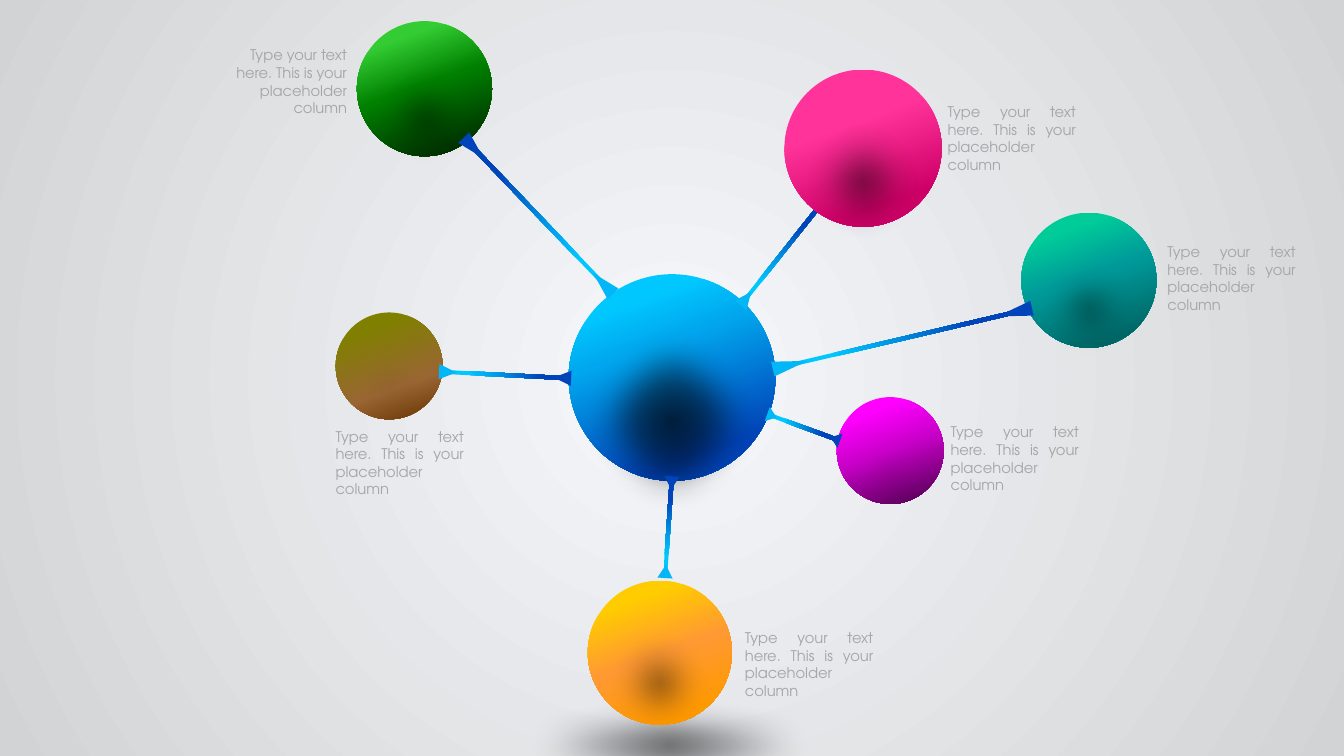
from math import cos, radians, sin

from lxml.etree import SubElement
from pptx import Presentation
from pptx.dml.color import RGBColor
from pptx.enum.shapes import MSO_SHAPE
from pptx.enum.text import MSO_ANCHOR, PP_ALIGN
from pptx.oxml.ns import qn
from pptx.util import Inches, Pt

WIDE, HIGH = Inches(13.33), Inches(7.5)
CELL = HIGH / 75
FONT = "TeX Gyre Adventor"
WORDS = "Type your text here. This is your placeholder column"

WHITE = RGBColor(0xFF, 0xFF, 0xFF)
BLACK = RGBColor(0x00, 0x00, 0x00)
GRAY = RGBColor(0xA6, 0xA6, 0xA6)
PALE = RGBColor(0xF6, 0xF8, 0xFC)
SILVER = RGBColor(0xD2, 0xD3, 0xD5)
SKY = RGBColor(0x01, 0xC7, 0xFF)
AZURE = RGBColor(0x01, 0xA7, 0xEE)
CYAN = RGBColor(0x03, 0xB6, 0xF5)
NAVY = RGBColor(0x01, 0x44, 0xB9)
PINK = RGBColor(0xFF, 0x33, 0x99)
ROSE = RGBColor(0xCC, 0x00, 0x66)
MINT = RGBColor(0x00, 0xCC, 0x99)
TEAL = RGBColor(0x00, 0x99, 0x99)
DEEP = RGBColor(0x00, 0x66, 0x66)
GOLD = RGBColor(0xFF, 0xCC, 0x00)
PEACH = RGBColor(0xFF, 0x99, 0x33)
ORANGE = RGBColor(0xFF, 0x99, 0x00)
OLIVE = RGBColor(0x80, 0x80, 0x00)
TAN = RGBColor(0x99, 0x66, 0x33)
BROWN = RGBColor(0x66, 0x33, 0x00)
FUCHSIA = RGBColor(0xFF, 0x00, 0xFF)
PURPLE = RGBColor(0xCC, 0x00, 0xCC)
PLUM = RGBColor(0x66, 0x00, 0x66)
LIME = RGBColor(0x33, 0xCC, 0x33)
GREEN = RGBColor(0x00, 0x80, 0x00)
FOREST = RGBColor(0x00, 0x33, 0x00)

BLUE = [(18, SKY, 100), (36, AZURE, 100), (81, NAVY, 100)]
DARK = [(0, BLACK, 71), (52, BLACK, 29), (100, WHITE, 0)]
DIM = [(0, BLACK, 43), (52, BLACK, 16), (100, WHITE, 0)]

SHINE = (0.13, -0.02, 0.43)
NEAR = (0.31, -0.06, 0.43)
MID = (0.21, -0.06, 0.52)
BROAD = (0.12, -0.15, 0.72)

NODES = [
    ((77.8, 6.9, 15.6), [(18, PINK), (36, PINK), (81, ROSE)], NEAR,
     (77.5, 25.2, 11, 218.5), (93, 9.7), PP_ALIGN.JUSTIFY, True),
    ((101.3, 21.1, 13.4), [(18, MINT), (48, TEAL), (88, DEEP)], MID,
     (89.5, 33.6, 22.6, 256.8), (114.8, 23.6), PP_ALIGN.JUSTIFY, False),
    ((58.3, 57.6, 14.3), [(18, GOLD), (51, PEACH), (87, ORANGE)], NEAR,
     (66.3, 52.3, 8.5, 183.9), (72.9, 61.9), PP_ALIGN.JUSTIFY, False),
    ((33.3, 31, 10.6), [(18, OLIVE), (67, TAN), (100, BROWN)], BROAD,
     (50.1, 37.2, 11.1, 272.9), (32.3, 41.9), PP_ALIGN.JUSTIFY, False),
    ((83, 39.4, 10.6), [(18, FUCHSIA), (48, PURPLE), (88, PLUM)], BROAD,
     (79.7, 42.4, 6.4, 290.1), (93.3, 41.5), PP_ALIGN.JUSTIFY, False),
    ((35.4, 2.1, 13.4), [(18, LIME), (48, GREEN), (88, FOREST)], MID,
     (53.4, 21.4, 18.3, 136.3), (20.7, 4.1), PP_ALIGN.RIGHT, False),
]


def blend(owner, stops, angle=None):
    solid = owner.find(qn("a:solidFill"))
    grad = SubElement(owner, qn("a:gradFill"), rotWithShape="1")
    owner.replace(solid, grad)
    steps = SubElement(grad, qn("a:gsLst"))
    for place, color, solidity in stops:
        stop = SubElement(steps, qn("a:gs"), pos=str(place * 1000))
        tint = SubElement(stop, qn("a:srgbClr"), val=str(color))
        if solidity < 100:
            SubElement(tint, qn("a:alpha"), val=str(solidity * 1000))
    if angle is None:
        way = SubElement(grad, qn("a:path"), path="circle")
        SubElement(way, qn("a:fillToRect"), l="50000", t="50000", r="50000", b="50000")
    else:
        SubElement(grad, qn("a:lin"), ang=str(angle * 60000), scaled="0")


def form(shapes, kind, box, color=WHITE, turn=0):
    shape = shapes.add_shape(kind, *(round(n * CELL) for n in box))
    shape.shadow.inherit = False
    shape.fill.solid()
    shape.fill.fore_color.rgb = color
    shape.line.fill.background()
    shape.rotation = turn % 360
    return shape


def glow(shapes, box, stops=None):
    shape = form(shapes, MSO_SHAPE.OVAL, box)
    frame = shape._element.spPr
    if stops:
        blend(frame, stops)
    SubElement(frame.find(qn("a:effectLst")), qn("a:softEdge"), rad=str(Pt(25)))


def ball(shapes, box, stops, shade, second):
    left, top, size = box
    orb = form(shapes, MSO_SHAPE.OVAL, (left, top, size, size))
    blend(orb._element.spPr, stops, 70)
    glow(shapes, (left, top + 0.195 * size, size, 1.03 * size), shade)
    for across, down, span in (SHINE, second):
        glow(shapes, (left + across * size, top + down * size,
                      span * size, 1.035 * span * size))


def link(shapes, mid, length, turn):
    x, y = mid
    rod = form(shapes, MSO_SHAPE.RECTANGLE,
               (x - 0.2, y - length / 2, 0.4, length), turn=turn)
    blend(rod._element.spPr, BLUE, 70)
    tall = 0.155 * length
    reach = length / 2 + 0.15
    for side, color, spin in ((-1, CYAN, turn - 180), (1, NAVY, turn)):
        tip_x = x - side * reach * sin(radians(turn))
        tip_y = y + side * reach * cos(radians(turn))
        form(shapes, MSO_SHAPE.ISOSCELES_TRIANGLE,
             (tip_x - 0.75, tip_y - tall / 2, 1.5, tall), color, spin)


def label(shapes, spot, align):
    box = shapes.add_textbox(*(round(n * CELL) for n in (*spot, 14.7, 8.1)))
    frame = box.text_frame
    frame.word_wrap = True
    frame.vertical_anchor = MSO_ANCHOR.TOP
    para = frame.paragraphs[0]
    para.alignment = align
    run = para.add_run()
    run.text = WORDS
    run.font.name = FONT
    run.font.size = Pt(10.5)
    run.font.color.rgb = GRAY


def node(slide, box, hues, second, rod, spot, align, behind):
    shapes = slide.shapes.add_group_shape().shapes
    x, y, length, turn = rod
    stops = [(place, color, 100) for place, color in hues]
    if behind:
        link(shapes, (x, y), length, turn)
    ball(shapes, box, stops, DIM, second)
    if not behind:
        link(shapes, (x, y), length, turn)
    label(shapes, spot, align)


def backdrop(slide):
    slide.background.fill.solid()
    owner = slide._element.find(".//" + qn("p:bgPr"))
    blend(owner, [(0, PALE, 100), (100, SILVER, 100)])
    glow(slide.shapes, (44.8, 68.8, 43.2, 10.2), DARK)


def main():
    deck = Presentation()
    deck.slide_width, deck.slide_height = WIDE, HIGH
    slide = deck.slides.add_slide(deck.slide_layouts[6])
    backdrop(slide)
    ball(slide.shapes.add_group_shape().shapes, (56.4, 27.2, 20.5), BLUE, DARK, NEAR)
    for item in NODES:
        node(slide, *item)
    deck.save("out.pptx")


if __name__ == "__main__":
    main()
